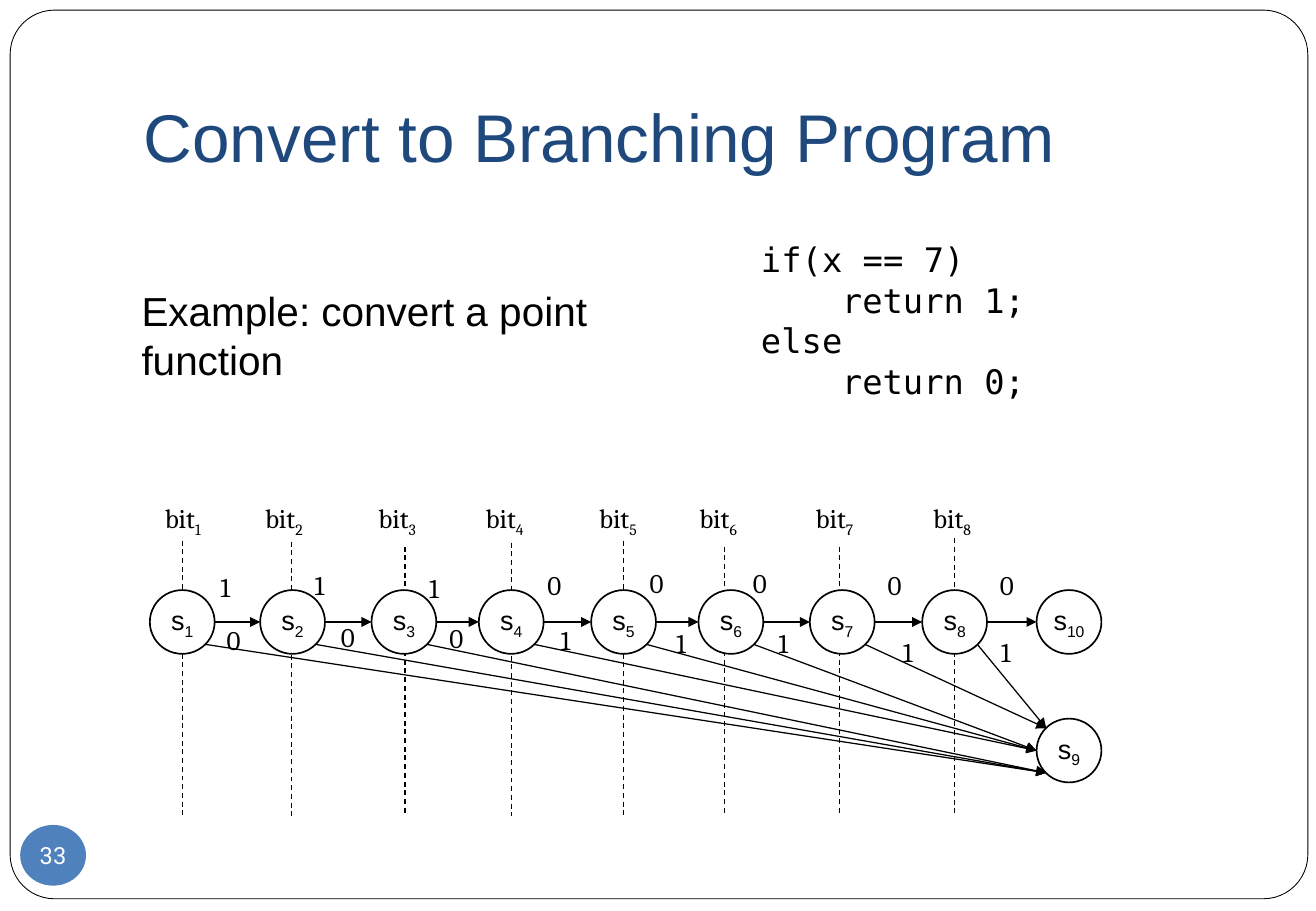
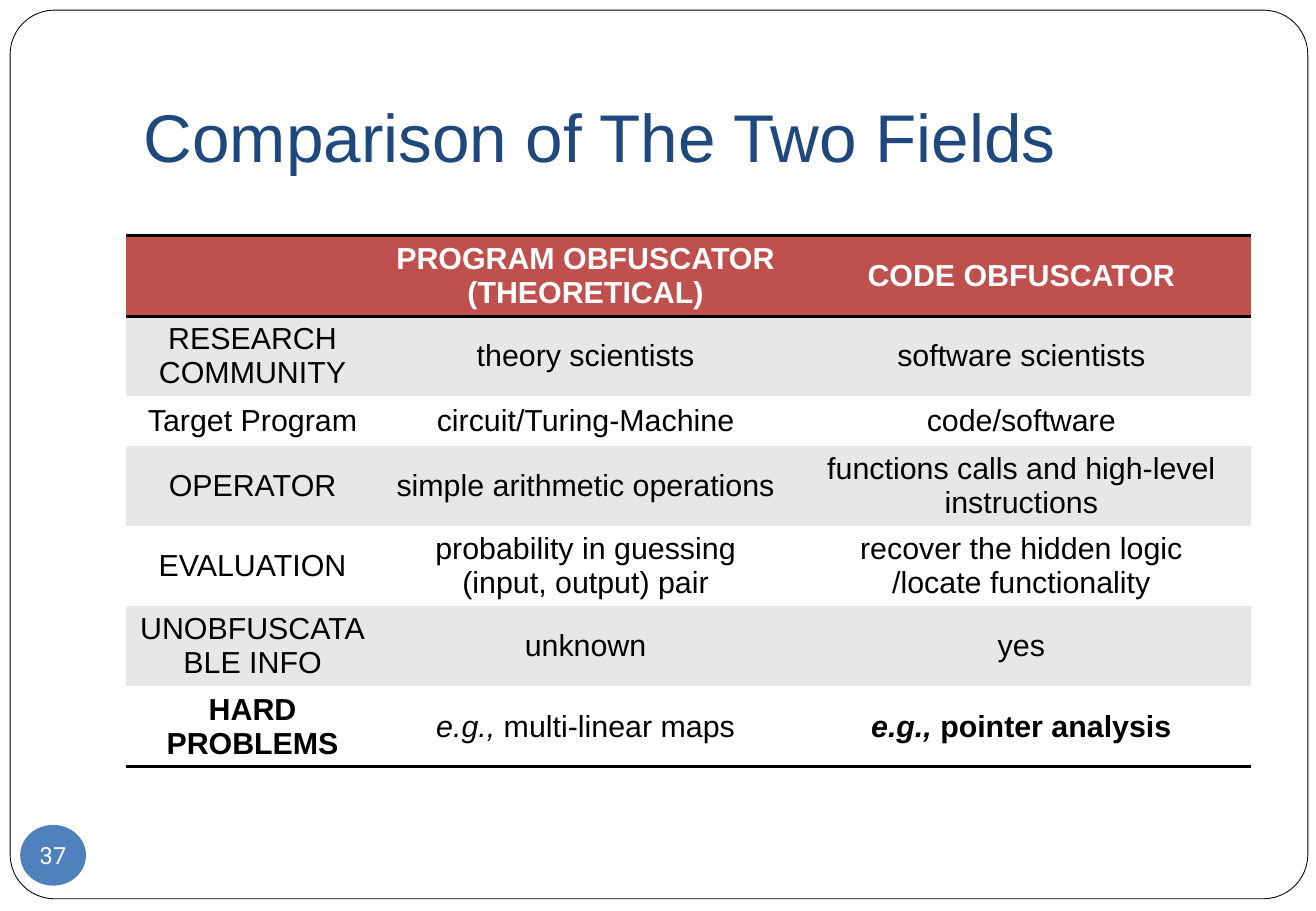
"""Build two slides on branching programs and obfuscators, laid out on a 13 by 9 grid."""
from lxml import etree
from pptx import Presentation
from pptx import util as u
from pptx.dml.color import RGBColor
from pptx.enum import dml, shapes, text
from pptx.oxml.ns import qn

rgb = RGBColor.from_string
CELL = 762000
BLACK, WHITE, NAVY, BLUE = "000000", "FFFFFF", "1F497D", "4F81BD"
RED, GREY = "C0504D", "E7E7E7"
SANS, SERIF, MONO = "Arial", "Cambria", "DejaVu Sans Mono"


def cells(*values):
    """Turn grid columns and rows into lengths."""
    return [u.Emu(round(v * CELL)) for v in values]


def add_run(p, words, size, font=SANS, color=BLACK, bold=False, italic=False, sub=False):
    """Append one formatted run to a paragraph."""
    r = p.add_run()
    r.text = words
    f = r.font
    f.size, f.name, f.bold, f.italic = u.Pt(size), font, bold, italic
    f.color.rgb = rgb(color)
    if sub:
        r._r.get_or_add_rPr().set("baseline", "-25000")


prs = Presentation()
prs.slide_width, prs.slide_height = cells(13, 9)

slides = []
for title, number in [("Convert to Branching Program", "33"),
                      ("Comparison of The Two Fields", "37")]:
    s = prs.slides.add_slide(prs.slide_layouts[5])
    slides.append(s)
    sp = s.shapes.title
    sp.left, sp.top, sp.width, sp.height = cells(1.3, 0.36, 11.05, 1.5)
    tf = sp.text_frame
    tf.vertical_anchor = text.MSO_ANCHOR.BOTTOM
    tf.margin_left = tf.margin_right = tf.margin_bottom = u.Inches(0.1)
    tf.margin_top = u.Inches(0.05)
    p = tf.paragraphs[0]
    p.alignment = text.PP_ALIGN.LEFT
    add_run(p, title, 40, color=NAVY)

    badge = s.shapes.add_shape(shapes.MSO_SHAPE.OVAL, *cells(0.2, 8.15, 0.65, 0.6))
    badge.shadow.inherit = False
    badge.fill.solid()
    badge.fill.fore_color.rgb = rgb(BLUE)
    badge.line.fill.background()
    tf = badge.text_frame
    tf.word_wrap = False
    tf.margin_left = tf.margin_right = tf.margin_top = tf.margin_bottom = 0
    tf.vertical_anchor = text.MSO_ANCHOR.MIDDLE
    p = tf.paragraphs[0]
    p.alignment = text.PP_ALIGN.CENTER
    add_run(p, number, 14, "Roboto", WHITE)

program, comparison = slides

frame = program.shapes.add_shape(shapes.MSO_SHAPE.ROUNDED_RECTANGLE,
                                 *cells(0.1, 0.1, 12.82, 8.78))
frame.adjustments[0] = 0.05
frame.shadow.inherit = False
frame.fill.solid()
frame.fill.fore_color.rgb = rgb(WHITE)
frame.line.color.rgb = rgb(BLACK)
frame.line.width = u.Pt(0.5)
frame._element.nvSpPr.cNvPr.set("id", "20")
prs.slide_master.shapes._spTree.insert(2, frame._element)

NODE_W, NODE_H, NODE_Y, SINK_Y = 0.64, 0.63, 5.83, 7.1
node_x = [1.48, 2.57, 3.67, 4.73, 5.84, 6.9, 8, 9.11, 10.24]
guides = [(1.8, 5.34), (2.88, 5.35), (4, 5.4), (5.05, 5.36),
          (6.16, 5.34), (7.16, 5.4), (8.29, 5.4), (9.43, 5.32)]
bit_x = [1.51, 2.5, 3.62, 4.68, 5.8, 6.79, 7.94, 9.1]
on_path = [(2.06, 5.58), (2.99, 5.56), (4.12, 5.59), (5.29, 5.56),
           (6.3, 5.54), (7.32, 5.54), (8.65, 5.56), (9.76, 5.56)]
off_path = [(2.12, 6.1), (3.25, 6.07), (4.32, 6.08), (5.42, 6.1),
            (6.56, 6.13), (7.57, 6.13), (8.8, 6.22), (9.77, 6.22)]

NEAR, FAR = 0.15, 0.85
sink_x = node_x[-1]
sink_sites = ([(sink_x + NEAR * NODE_W, SINK_Y + FAR * NODE_H)] * 3
              + [(sink_x, SINK_Y + NODE_H / 2)] * 3
              + [(sink_x + NEAR * NODE_W, SINK_Y + NEAR * NODE_H)] * 2)

middle = NODE_Y + NODE_H / 2
lines = [(x, top, x, 8.06, False) for x, top in guides]
for x, following, site in zip(node_x, node_x[1:], sink_sites):
    lines.append((x + NODE_W, middle, following, middle, True))
    lines.append((x + FAR * NODE_W, NODE_Y + FAR * NODE_H, *site, True))

for *ends, arrow in lines:
    line = program.shapes.add_connector(shapes.MSO_CONNECTOR.STRAIGHT, *cells(*ends))
    line.line.color.rgb = rgb(BLACK)
    line.line.width = u.Pt(0.75)
    if arrow:
        etree.SubElement(line.line._get_or_add_ln(), qn("a:tailEnd"), type="triangle")
    else:
        line.line.dash_style = dml.MSO_LINE.DASH
    etree.SubElement(line._element.spPr, qn("a:effectLst"))

nodes = [(x, NODE_Y, str(i)) for i, x in enumerate(node_x[:-1], 1)]
nodes += [(sink_x, SINK_Y, "9"), (sink_x, NODE_Y, "10")]
for x, y, index in nodes:
    node = program.shapes.add_shape(shapes.MSO_SHAPE.OVAL, *cells(x, y, NODE_W, NODE_H))
    node.shadow.inherit = False
    node.fill.solid()
    node.fill.fore_color.rgb = rgb(WHITE)
    node.line.color.rgb = rgb(BLACK)
    node.line.width = u.Pt(1)
    tf = node.text_frame
    tf.margin_left = tf.margin_right = tf.margin_top = tf.margin_bottom = 0
    tf.vertical_anchor = text.MSO_ANCHOR.MIDDLE
    p = tf.paragraphs[0]
    p.alignment = text.PP_ALIGN.CENTER
    add_run(p, "s", 16)
    add_run(p, index, 16, sub=True)

labels = [(x, 4.9, 0.97, "bit", str(i)) for i, x in enumerate(bit_x, 1)]
labels += [(x, y, 0.44, bit, "") for (x, y), bit in zip(on_path, "11100000")]
labels += [(x, y, 0.44, bit, "") for (x, y), bit in zip(off_path, "00011111")]
for x, y, width, words, index in labels:
    tf = program.shapes.add_textbox(*cells(x, y, width, 0.43)).text_frame
    tf.word_wrap = True
    p = tf.paragraphs[0]
    add_run(p, words, 16, SERIF)
    if index:
        add_run(p, index, 16, SERIF, sub=True)

tf = program.shapes.add_textbox(*cells(7.4, 2.3, 2.95, 1.74)).text_frame
tf.word_wrap = True
code = [("if(x == 7)", 0), ("return 1;", 0.8), ("else", 0), ("return 0;", 0.8)]
for i, (words, indent) in enumerate(code):
    p = tf.add_paragraph() if i else tf.paragraphs[0]
    p._p.get_or_add_pPr().set("marL", str(cells(indent)[0]))
    add_run(p, words, 20, MONO)

tf = program.shapes.add_textbox(*cells(1.28, 2.77, 5.99, 0.6)).text_frame
tf.word_wrap = True
add_run(tf.paragraphs[0], "Example: convert a point function", 24)

rows = [
    ("", "PROGRAM OBFUSCATOR\n(THEORETICAL)", "CODE OBFUSCATOR"),
    ("RESEARCH COMMUNITY", "theory scientists", "software scientists"),
    ("Target Program", "circuit/Turing-Machine", "code/software"),
    ("OPERATOR", "simple arithmetic operations", "functions calls and high-level instructions"),
    ("EVALUATION", "probability in guessing (input, output) pair",
     "recover the hidden logic\n/locate functionality"),
    ("UNOBFUSCATABLE INFO", "unknown", "yes"),
    ("HARD PROBLEMS", "e.g., multi-linear maps", "e.g., pointer analysis"),
]
last = len(rows) - 1
tb = comparison.shapes.add_table(len(rows), 3, *cells(1.24, 2.33, 11.12, 3.43)).table
tb.first_row = tb.horz_banding = False
tb._tbl.tblPr.find(qn("a:tableStyleId")).text = "{2D5ABB26-0587-4C30-8999-92F81FD0307C}"
for column, width in zip(tb.columns, cells(2.51, 4.07, 4.54)):
    column.width = width
for i, row in enumerate(rows):
    tb.rows[i].height = cells(0.49)[0]
    fill = RED if i == 0 else GREY if i % 2 else WHITE
    edges = {0: ["a:lnB", "a:lnT"], last: ["a:lnB"]}.get(i, [])
    for j, words in enumerate(row):
        c = tb.cell(i, j)
        c.fill.solid()
        c.fill.fore_color.rgb = rgb(fill)
        c.vertical_anchor = text.MSO_ANCHOR.MIDDLE
        for edge in edges:
            ln = etree.Element(qn(edge), w=str(u.Pt(2)))
            solid = etree.SubElement(ln, qn("a:solidFill"))
            etree.SubElement(solid, qn("a:srgbClr"), val=BLACK)
            c._tc.get_or_add_tcPr().insert(0, ln)
        bold = i == 0 or (i == last and j != 1)
        color = BLACK if i else WHITE
        for k, part in enumerate(words.split("\n")):
            p = c.text_frame.add_paragraph() if k else c.text_frame.paragraphs[0]
            p.alignment = text.PP_ALIGN.CENTER
            before, mark, after = part.rpartition("e.g.,")
            if mark:
                add_run(p, mark, 18, color=color, bold=bold, italic=True)
            if after:
                add_run(p, after, 18, color=color, bold=bold)

prs.save("out.pptx")
